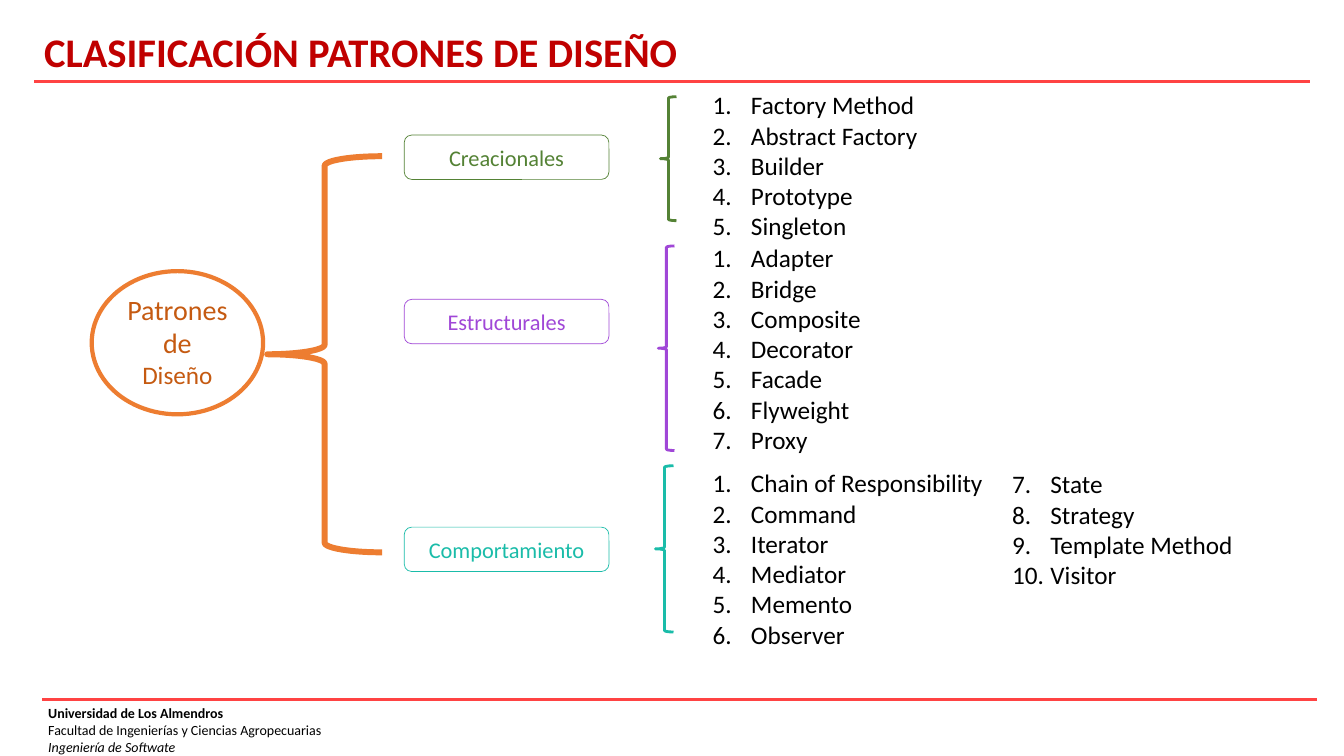
from lxml.etree import SubElement
from pptx import Presentation
from pptx.dml.color import RGBColor
from pptx.enum.shapes import MSO_CONNECTOR, MSO_SHAPE as Shape
from pptx.enum.text import MSO_ANCHOR as Anchor, PP_ALIGN as Align
from pptx.oxml.ns import qn
from pptx.util import Inches, Pt

FONT = "Calibri"
BLACK = RGBColor(0, 0, 0)
WHITE = RGBColor(255, 255, 255)
TITLE_RED = RGBColor(0xC0, 0, 0)
RULE_RED = RGBColor(0xFF, 0x43, 0x43)
ORANGE = RGBColor(0xED, 0x7D, 0x31)
BROWN = RGBColor(0xC5, 0x5A, 0x11)
GREEN = RGBColor(0x54, 0x82, 0x35)
PURPLE = RGBColor(0xA0, 0x47, 0xD7)
TEAL = RGBColor(0x1A, 0xBC, 0xA9)

LABEL_LEFT, LABEL_WIDTH, LABEL_HEIGHT = 4.01, 2.03, 0.44
LIST_LEFT, LIST_WIDTH = 6.97, 3.59
LIST_INDENT = Inches(0.38)

# Category, colour, label top, brace bounds, list top, patterns
CATEGORIES = [
    ("Creacionales", GREEN, 1.34, (6.55, 0.96, 0.16, 1.23), 0.84,
     ["Factory Method", "Abstract Factory", "Builder", "Prototype", "Singleton"]),
    ("Estructurales", PURPLE, 2.97, (6.53, 2.44, 0.16, 2.03), 2.36,
     ["Adapter", "Bridge", "Composite", "Decorator", "Facade", "Flyweight", "Proxy"]),
    ("Comportamiento", TEAL, 5.23, (6.5, 4.62, 0.18, 1.65), 4.59,
     ["Chain of Responsibility", "Command", "Iterator", "Mediator", "Memento", "Observer"]),
]
MORE_BEHAVIOUR = ["State", "Strategy", "Template Method", "Visitor"]


def inches(bounds):
    return [Inches(length) for length in bounds]


def write_lines(frame, lines, color, align=Align.LEFT):
    """Write one paragraph per (text, size) pair and return the paragraphs."""
    frame.word_wrap = True
    for index, (text, size) in enumerate(lines):
        para = frame.add_paragraph() if index else frame.paragraphs[0]
        para.text = text
        para.alignment = align
        para.font.name = FONT
        para.font.size = Pt(size)
        para.font.color.rgb = color
    return frame.paragraphs


def add_text(slide, bounds, lines, color, anchor=Anchor.TOP):
    frame = slide.shapes.add_textbox(*inches(bounds)).text_frame
    frame.vertical_anchor = anchor
    return write_lines(frame, lines, color)


def add_numbered_list(slide, bounds, items, start=1):
    for para in add_text(slide, bounds, [(item, 18) for item in items], BLACK):
        properties = para._p.get_or_add_pPr()
        properties.set("marL", str(LIST_INDENT))
        properties.set("indent", str(-LIST_INDENT))
        numbering = SubElement(properties, qn("a:buAutoNum"), type="arabicPeriod")
        if start > 1:
            numbering.set("startAt", str(start))


def add_outline(slide, kind, bounds, color, weight):
    shape = slide.shapes.add_shape(kind, *inches(bounds))
    shape.shadow.inherit = False
    shape.fill.background()
    shape.line.color.rgb = color
    shape.line.width = Pt(weight)
    return shape


def add_label(slide, top, text, color):
    bounds = (LABEL_LEFT, top, LABEL_WIDTH, LABEL_HEIGHT)
    label = add_outline(slide, Shape.ROUNDED_RECTANGLE, bounds, color, 0.5)
    label.text_frame.vertical_anchor = Anchor.MIDDLE
    write_lines(label.text_frame, [(text, 16)], color, Align.CENTER)


def add_root(slide):
    root = add_outline(slide, Shape.OVAL, (0.91, 2.69, 1.7, 1.42), ORANGE, 3)
    root.fill.solid()
    root.fill.fore_color.rgb = WHITE
    frame = root.text_frame
    frame.margin_left = frame.margin_right = frame.margin_top = frame.margin_bottom = 0
    frame.vertical_anchor = Anchor.TOP
    write_lines(frame, [("Patrones de", 20), ("Diseño", 18)], BROWN, Align.CENTER)


def add_rule(slide, left, right, top):
    rule = slide.shapes.add_connector(
        MSO_CONNECTOR.STRAIGHT, *inches((left, top, right, top)))
    rule.line.color.rgb = RULE_RED
    rule.line.width = Pt(1.75)
    SubElement(rule._element.spPr, qn("a:effectLst"))


def main():
    deck = Presentation()
    deck.slide_width, deck.slide_height = Inches(13.33), Inches(7.5)
    slide = deck.slides.add_slide(deck.slide_layouts[6])

    # Title and footer
    title, = add_text(slide, (0.34, -0.03, 7.02, 0.84),
                      [("CLASIFICACIÓN PATRONES DE DISEÑO", 29)], TITLE_RED, Anchor.BOTTOM)
    title.font.bold = True
    title.line_spacing = 0.9
    university, _, program = add_text(
        slide, (0.38, 6.94, 7.02, 0.61),
        [("Universidad de Los Almendros", 10),
         ("Facultad de Ingenierías y Ciencias Agropecuarias", 10),
         ("Ingeniería de Softwate", 10)], BLACK)
    university.font.bold = True
    program.font.italic = True
    add_rule(slide, 0.34, 12.99, 0.81)
    add_rule(slide, 0.42, 13.06, 6.94)

    # Root of the diagram
    add_outline(slide, Shape.LEFT_BRACE, (2.65, 1.55, 1.14, 3.93), ORANGE, 4.25)
    add_root(slide)

    # Categories with their patterns
    for name, color, label_top, brace_bounds, list_top, patterns in CATEGORIES:
        add_label(slide, label_top, name, color)
        add_outline(slide, Shape.LEFT_BRACE, brace_bounds, color, 2)
        list_height = 0.1 + 0.3 * len(patterns)
        add_numbered_list(slide, (LIST_LEFT, list_top, LIST_WIDTH, list_height), patterns)
    add_numbered_list(slide, (9.94, 4.6, 2.51, 1.3), MORE_BEHAVIOUR, start=7)

    deck.save("out.pptx")


if __name__ == "__main__":
    main()
